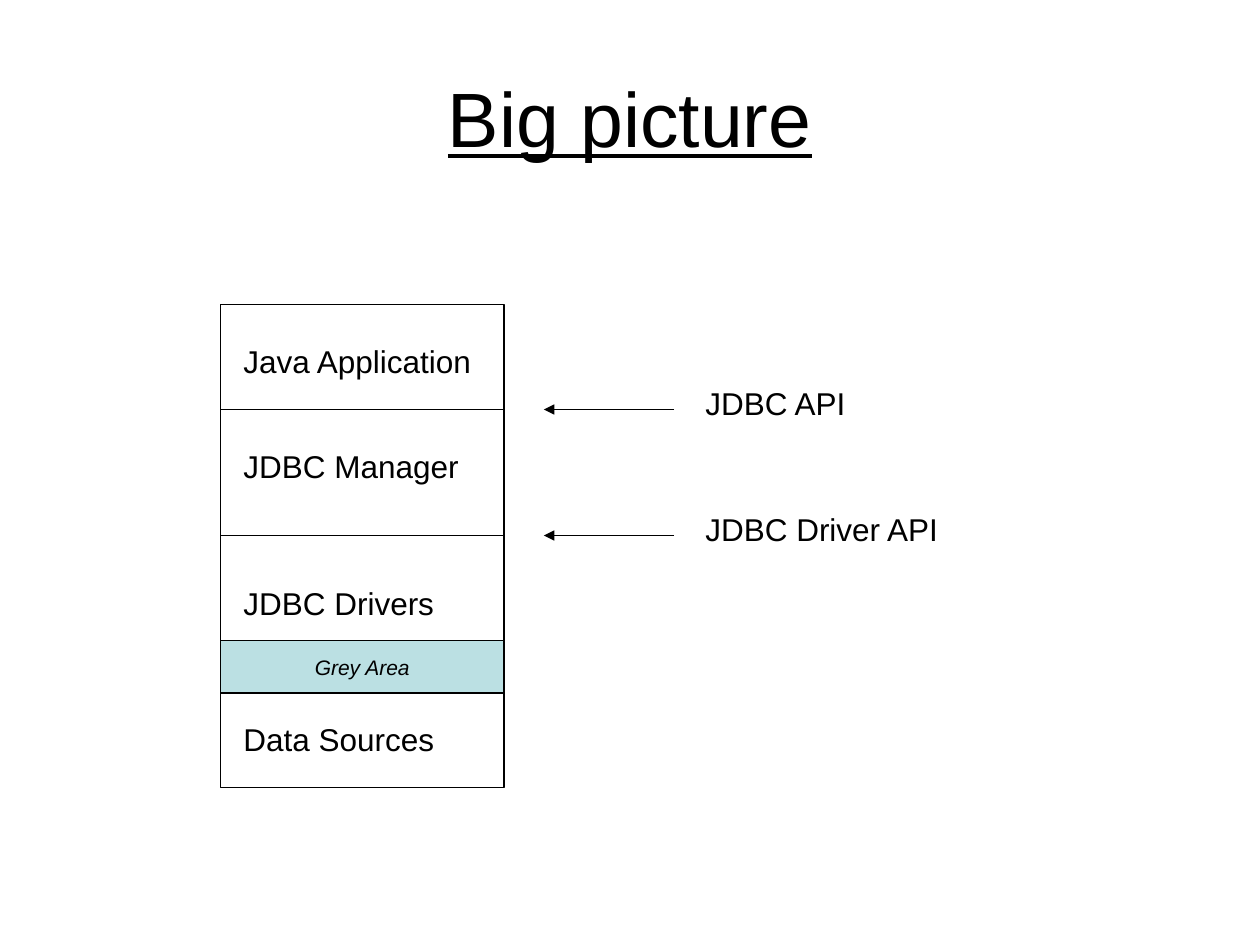
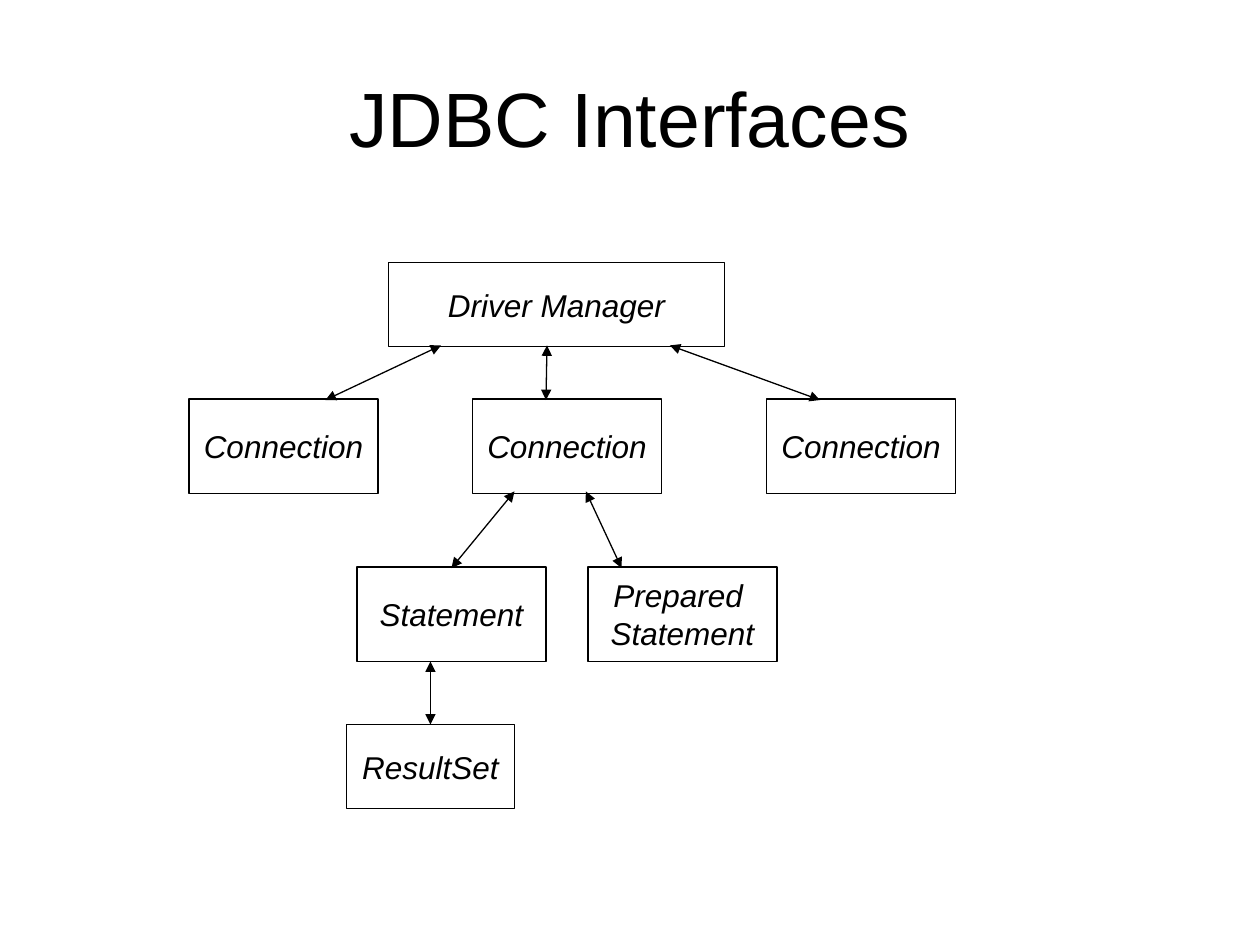
from lxml.etree import SubElement
from pptx import Presentation
from pptx.dml.color import RGBColor
from pptx.enum.shapes import MSO_CONNECTOR, MSO_SHAPE
from pptx.enum.text import MSO_ANCHOR, MSO_AUTO_SIZE, PP_ALIGN
from pptx.oxml.ns import qn
from pptx.util import Inches, Pt

BLACK = RGBColor(0x00, 0x00, 0x00)
WHITE = RGBColor(0xFF, 0xFF, 0xFF)
PALE_TEAL = RGBColor(0xBB, 0xE0, 0xE3)
FONT = "Arial"
LINE_WIDTH = Pt(0.75)
TITLE_ONLY = 5


def grid(*cells):
    """Lengths on a grid of twelve cells to the inch."""
    return [Inches(cell / 12) for cell in cells]


def write(shape, text, size=18, align=PP_ALIGN.LEFT, anchor=MSO_ANCHOR.TOP,
          wrap=True, italic=False, underline=False):
    frame = shape.text_frame
    frame.word_wrap = wrap
    frame.vertical_anchor = anchor
    frame.text = text
    for para in frame.paragraphs:
        para.alignment = align
        for span in para.runs:
            font = span.font
            font.name, font.size = FONT, Pt(size)
            font.italic, font.underline = italic, underline
            font.color.rgb = BLACK


def add_page(deck, title, underline=False):
    page = deck.slides.add_slide(deck.slide_layouts[TITLE_ONLY])
    heading = page.shapes.title
    heading.left, heading.top, heading.width, heading.height = grid(6, 3.6, 108, 15)
    write(heading, title, size=44, align=PP_ALIGN.CENTER,
          anchor=MSO_ANCHOR.MIDDLE, underline=underline)
    return page


def add_box(page, cells, text="", fill=None, size=18):
    box = page.shapes.add_shape(MSO_SHAPE.RECTANGLE, *grid(*cells))
    box.shadow.inherit = False
    if fill is None:
        box.fill.background()
    else:
        box.fill.solid()
        box.fill.fore_color.rgb = fill
    box.line.color.rgb = BLACK
    box.line.width = LINE_WIDTH
    if text:
        write(box, text, size=size, align=PP_ALIGN.CENTER,
              anchor=MSO_ANCHOR.MIDDLE, wrap=False, italic=True)


def add_label(page, left, top, width, text):
    label = page.shapes.add_textbox(*grid(left, top, width, 4.8))
    write(label, text)
    label.text_frame.auto_size = MSO_AUTO_SIZE.SHAPE_TO_FIT_TEXT


def add_line(page, ends, arrowheads=()):
    """Draw a line; arrowheads may name headEnd (start) and tailEnd (finish)."""
    line = page.shapes.add_connector(MSO_CONNECTOR.STRAIGHT, *grid(*ends))
    line.line.color.rgb = BLACK
    line.line.width = LINE_WIDTH
    outline = line.line._get_or_add_ln()
    for arrowhead in arrowheads:
        SubElement(outline, qn(f"a:{arrowhead}"), type="triangle")
    SubElement(line._element.spPr, qn("a:effectLst"))


def build_big_picture(deck):
    page = add_page(deck, "Big picture", underline=True)
    left, width = 21, 27

    # Layer stack
    add_box(page, (left, 29, width, 46), fill=WHITE)
    for top, layer in ((32, "Java Application"), (42, "JDBC Manager"),
                       (55, "JDBC Drivers"), (68, "Data Sources")):
        add_label(page, left + 1, top, width - 1, layer)
    add_box(page, (left, 61, width, 5), "Grey Area", fill=PALE_TEAL, size=12)

    # Layer borders, each with the interface that crosses it
    for height, interface in ((39, "JDBC API"), (51, "JDBC Driver API")):
        add_line(page, (left, height, left + width, height))
        add_line(page, (64.2, height, 51.8, height), ["tailEnd"])
        add_label(page, 66, height - 3, 30, interface)


def build_interfaces(deck):
    page = add_page(deck, "JDBC Interfaces")

    # Interface boxes, level by level
    add_box(page, (37, 25, 32, 8), "Driver Manager")
    for left in (18, 45, 73):
        add_box(page, (left, 38, 18, 9), "Connection")
    for left, name in ((34, "Statement"), (56, "Prepared \nStatement")):
        add_box(page, (left, 54, 18, 9), name)
    add_box(page, (33, 69, 16, 8), "ResultSet")

    # Two-way arrows between levels: lower and upper height, then x pairs
    levels = (
        (38.1, 32.9, ((31, 42), (52, 52.1), (78.1, 63.8))),
        (54.1, 46.8, ((43, 49), (59.2, 55.8))),
        (69, 63, ((41, 41),)),
    )
    for lower, upper, pairs in levels:
        for start, finish in pairs:
            add_line(page, (start, lower, finish, upper), ["headEnd", "tailEnd"])


def main():
    deck = Presentation()
    deck.slide_width, deck.slide_height = Inches(10), Inches(7.5)
    build_big_picture(deck)
    build_interfaces(deck)
    deck.save("out.pptx")


if __name__ == "__main__":
    main()
